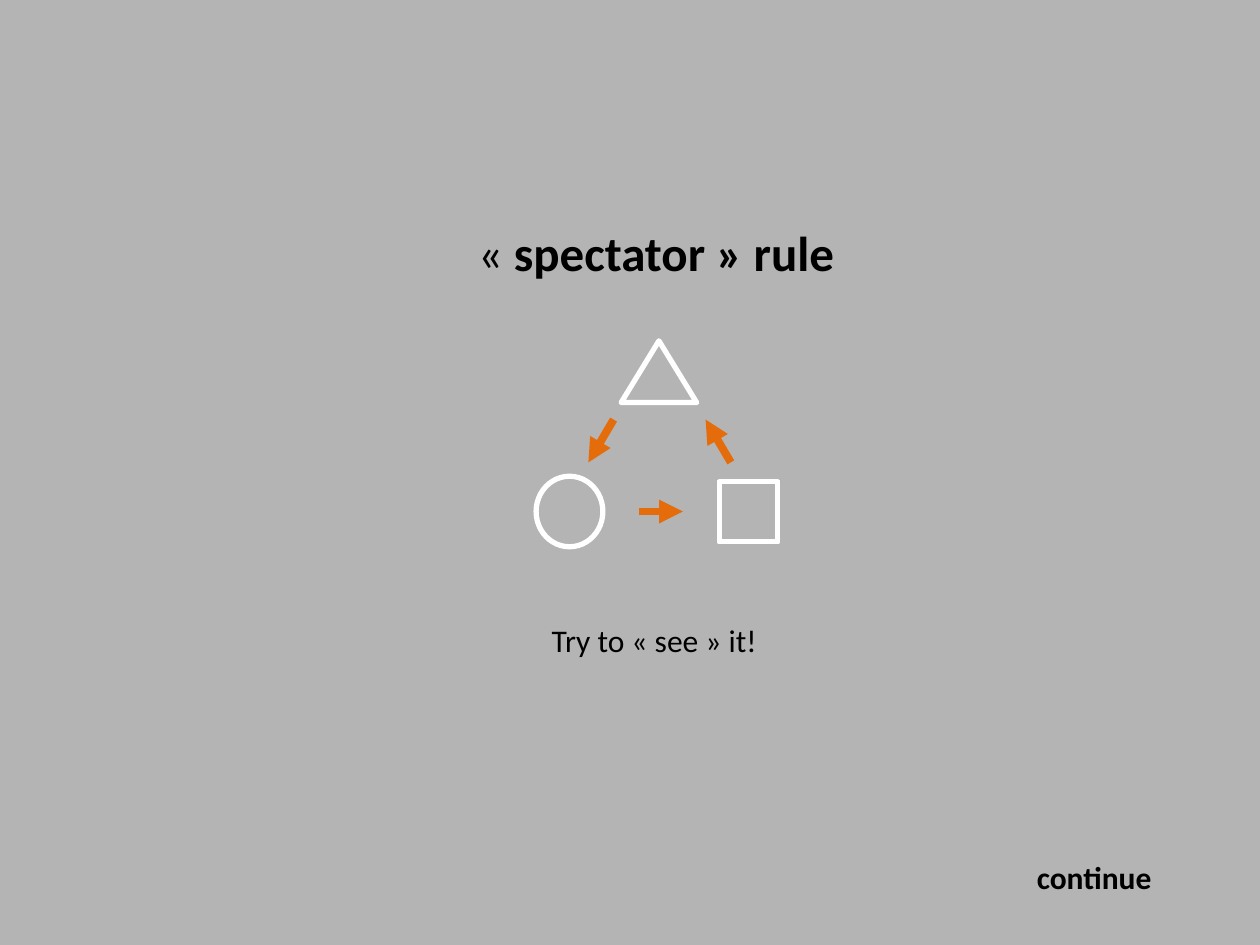
from lxml import etree
from pptx import Presentation
from pptx.dml.color import RGBColor
from pptx.enum import shapes, text
from pptx.oxml.ns import qn
from pptx import util as u

W, H = 10, 7.5


def rgb(color):
    return RGBColor.from_string(color)


def write(sp, box, runs, size, anchor, align, wrap):
    sp.left, sp.top, sp.width, sp.height = [u.Inches(v) for v in box]
    tf = sp.text_frame
    frame_format = {
        "word_wrap": wrap,
        "auto_size": text.MSO_AUTO_SIZE.NONE,
        "vertical_anchor": anchor,
    }
    for name, value in frame_format.items():
        setattr(tf, name, value)
    p = tf.paragraphs[0]
    p.alignment = align
    for words, bold in runs:
        r = p.add_run()
        r.text = words
        for name, value in {"name": "Calibri", "size": u.Pt(size), "bold": bold}.items():
            setattr(r.font, name, value)
        r.font.color.rgb = rgb("000000")


prs = Presentation()
prs.slide_width, prs.slide_height = u.Inches(W), u.Inches(H)
s = prs.slides.add_slide(prs.slide_layouts[5])
s.background.fill.solid()
s.background.fill.fore_color.rgb = rgb("B4B4B4")

# Title
write(s.shapes.title, (0.58, 1.7, 9.25, 0.58),
      [("«\u00a0", False), ("spectator\u00a0» rule", True)], 28,
      text.MSO_ANCHOR.BOTTOM, text.PP_ALIGN.CENTER, True)

# White outline figures: kind, centre, size, line width
mid, row = 5.24, 4.06
figures = [
    (shapes.MSO_SHAPE.FRAME, (5.94, row), (0.47, 0.49), 2),
    (shapes.MSO_SHAPE.OVAL, (4.52, row), (0.53, 0.56), 3),
    (shapes.MSO_SHAPE.ISOSCELES_TRIANGLE, (mid - 0.01, 2.95), (0.6, 0.49), 3),
]
for kind, (cx, cy), (w, h), width in figures:
    sp = s.shapes.add_shape(kind, u.Inches(cx - w / 2), u.Inches(cy - h / 2),
                            u.Inches(w), u.Inches(h))
    sp.shadow.inherit = False
    sp.fill.background()
    sp.line.color.rgb = rgb("FFFFFF")
    sp.line.width = u.Pt(width)
    if kind == shapes.MSO_SHAPE.FRAME:
        sp.adjustments[0] = 0.022

# Orange arrows around the cycle, offsets from the middle
arrows = [
    ((-0.37, 3.33), (-0.57, 3.67)),
    ((0.56, 3.67), (0.36, 3.33)),
    ((-0.17, row), (0.18, row)),
]
for (x1, y1), (x2, y2) in arrows:
    arrow = s.shapes.add_connector(
        shapes.MSO_CONNECTOR.STRAIGHT, u.Inches(mid + x1), u.Inches(y1),
        u.Inches(mid + x2), u.Inches(y2))
    arrow.line.color.rgb = rgb("E46C0A")
    arrow.line.width = u.Pt(4.5)
    etree.SubElement(arrow.line._get_or_add_ln(), qn("a:tailEnd"), type="triangle")
    etree.SubElement(arrow._element.spPr, qn("a:effectLst"))

# Hint and continue labels
labels = [
    ("continue", False, (8.13, 6.76, 1.12, 0.4), True),
    ("Try to «\u00a0see\u00a0» it!", False, (4.28, 4.88, 1.85, 0.4), False),
]
for words, wrap, box, bold in labels:
    sp = s.shapes.add_textbox(0, 0, 0, 0)
    write(sp, box, [(words, bold)], 18, text.MSO_ANCHOR.TOP,
          text.PP_ALIGN.LEFT, wrap)

prs.save("out.pptx")
